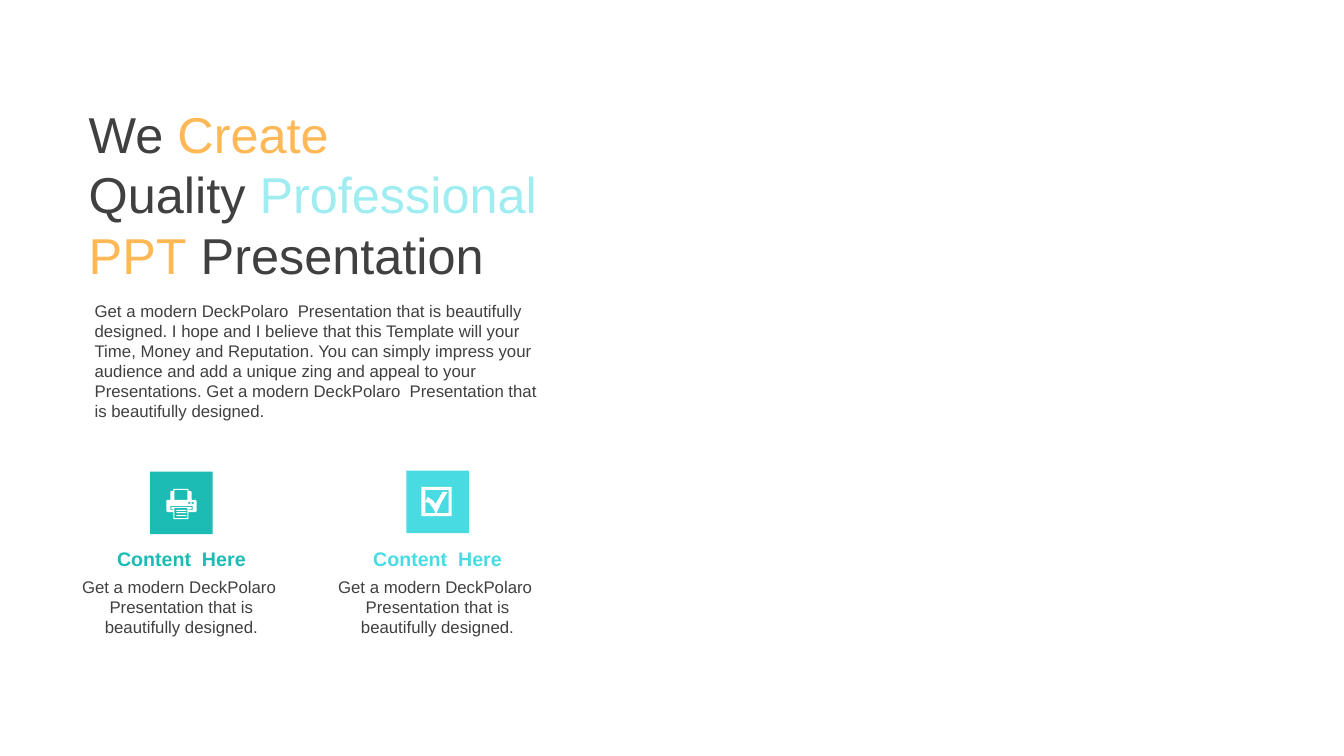
from dataclasses import dataclass

from pptx import Presentation
from pptx.dml.color import RGBColor
from pptx.enum.shapes import MSO_SHAPE
from pptx.enum.text import MSO_ANCHOR, PP_ALIGN
from pptx.shapes.autoshape import Shape
from pptx.slide import Slide
from pptx.util import Inches, Pt

COLORS = {
    "ink": "404040",
    "orange": "FEB856",
    "pale": "9FEDF0",
    "teal": "1CBBB4",
    "aqua": "48DCE2",
    "white": "FFFFFF",
}
SUMMARY = "Get a modern DeckPolaro  Presentation that is beautifully designed."
INTRO = (
    SUMMARY + " I hope and I believe that this Template will your Time, Money and "
    "Reputation. You can simply impress your audience and add a unique zing and "
    "appeal to your Presentations. " + SUMMARY
)

Contour = list[tuple[int, int]]  # points in hundredths of an inch
Line = list[tuple[str, str]]  # (text, colour name) runs


@dataclass
class Feature:
    left: float
    tile_top: float
    color: str
    icon: list[Contour]


def box(left: int, top: int, right: int, bottom: int) -> Contour:
    return [(left, top), (right, top), (right, bottom), (left, bottom)]


PRINTER = [
    # Body with the sheet coming out
    [(166, 496), (194, 496), (195, 497), (195, 507), (194, 508), (187, 508),
     (187, 515), (172, 515), (172, 508), (166, 508), (165, 507), (165, 497)],
    # Output slot
    [(169, 502), (169, 506), (172, 506), (172, 505), (170, 505), (170, 503),
     (190, 503), (190, 505), (187, 505), (187, 506), (191, 506), (191, 502)],
    # Sheet and its printed lines
    box(173, 504, 186, 514),
    *[box(175, top, 185, top + 1) for top in (506, 508, 511)],
    # Buttons
    *[box(left, 498, left + 2, 500) for left in (187, 190)],
    # Paper feeder
    [(172, 485), (187, 485), (187, 487), (189, 487), (190, 488), (190, 496),
     (186, 496), (186, 486), (173, 486), (173, 496), (169, 496), (169, 488),
     (170, 487), (172, 487)],
]
CHECKBOX = [
    box(418, 483, 448, 512),
    [(422, 486), (422, 509), (432, 509), (430, 505), (426, 499), (422, 498),
     (424, 493), (429, 496), (432, 500), (439, 488), (444, 488), (438, 498),
     (433, 509), (445, 509), (445, 486)],
]
FEATURES = [
    Feature(0.6, 4.68, "teal", PRINTER),
    Feature(3.14, 4.67, "aqua", CHECKBOX),
]


def add_text(slide: Slide, lines: list[Line], left: float, top: float,
             width: float, height: float, *, size: int, bold: bool = False,
             align: PP_ALIGN = PP_ALIGN.LEFT, anchor: MSO_ANCHOR = MSO_ANCHOR.TOP,
             inset_x: float = 0.1, inset_y: float = 0.05) -> None:
    frame = slide.shapes.add_textbox(
        Inches(left), Inches(top), Inches(width), Inches(height)).text_frame
    frame.word_wrap = True
    frame.vertical_anchor = anchor
    frame.margin_left = frame.margin_right = Inches(inset_x)
    frame.margin_top = frame.margin_bottom = Inches(inset_y)
    for index, line in enumerate(lines):
        paragraph = frame.add_paragraph() if index else frame.paragraphs[0]
        paragraph.alignment = align
        for text, color in line:
            run = paragraph.add_run()
            run.text = text
            run.font.name = "Arial"
            run.font.size = Pt(size)
            run.font.bold = bold
            run.font.color.rgb = RGBColor.from_string(COLORS[color])


def paint(shape: Shape, color: str) -> None:
    shape.shadow.inherit = False
    shape.fill.solid()
    shape.fill.fore_color.rgb = RGBColor.from_string(COLORS[color])
    shape.line.fill.background()


def add_icon(slide: Slide, contours: list[Contour]) -> None:
    first, *others = contours
    builder = slide.shapes.build_freeform(*first[0], scale=Inches(0.01))
    builder.add_line_segments(first[1:], close=True)
    for contour in others:
        builder.move_to(*contour[0])
        builder.add_line_segments(contour[1:], close=True)
    paint(builder.convert_to_shape(), "white")


def add_feature(slide: Slide, feature: Feature) -> None:
    width, tile_size = 2.4, 0.62
    add_text(slide, [[("Content  Here", feature.color)]], feature.left, 5.37,
             width, 0.34, size=14, bold=True, align=PP_ALIGN.CENTER,
             anchor=MSO_ANCHOR.MIDDLE)
    add_text(slide, [[(SUMMARY, "ink")]], feature.left, 5.67, width, 0.71,
             size=12, align=PP_ALIGN.CENTER)
    tile_left = feature.left + (width - tile_size) / 2
    tile = slide.shapes.add_shape(
        MSO_SHAPE.RECTANGLE, Inches(tile_left), Inches(feature.tile_top),
        Inches(tile_size), Inches(tile_size))
    paint(tile, feature.color)
    add_icon(slide, feature.icon)


def main() -> None:
    deck = Presentation()
    deck.slide_width, deck.slide_height = Inches(13.33), Inches(7.5)
    slide = deck.slides.add_slide(deck.slide_layouts[6])

    # Headline
    headline: list[Line] = [
        [("We ", "ink"), ("Create", "orange")],
        [("Quality ", "ink"), ("Professional", "pale")],
        [("PPT", "orange"), (" Presentation", "ink")],
    ]
    add_text(slide, headline, 0.84, 1.01, 4.73, 1.82, size=36,
             anchor=MSO_ANCHOR.MIDDLE, inset_x=0.04, inset_y=0)

    # Introduction
    add_text(slide, [[(INTRO, "ink")]], 0.84, 2.93, 4.7, 1.31, size=12)

    # Features
    for feature in FEATURES:
        add_feature(slide, feature)

    deck.save("out.pptx")


if __name__ == "__main__":
    main()
